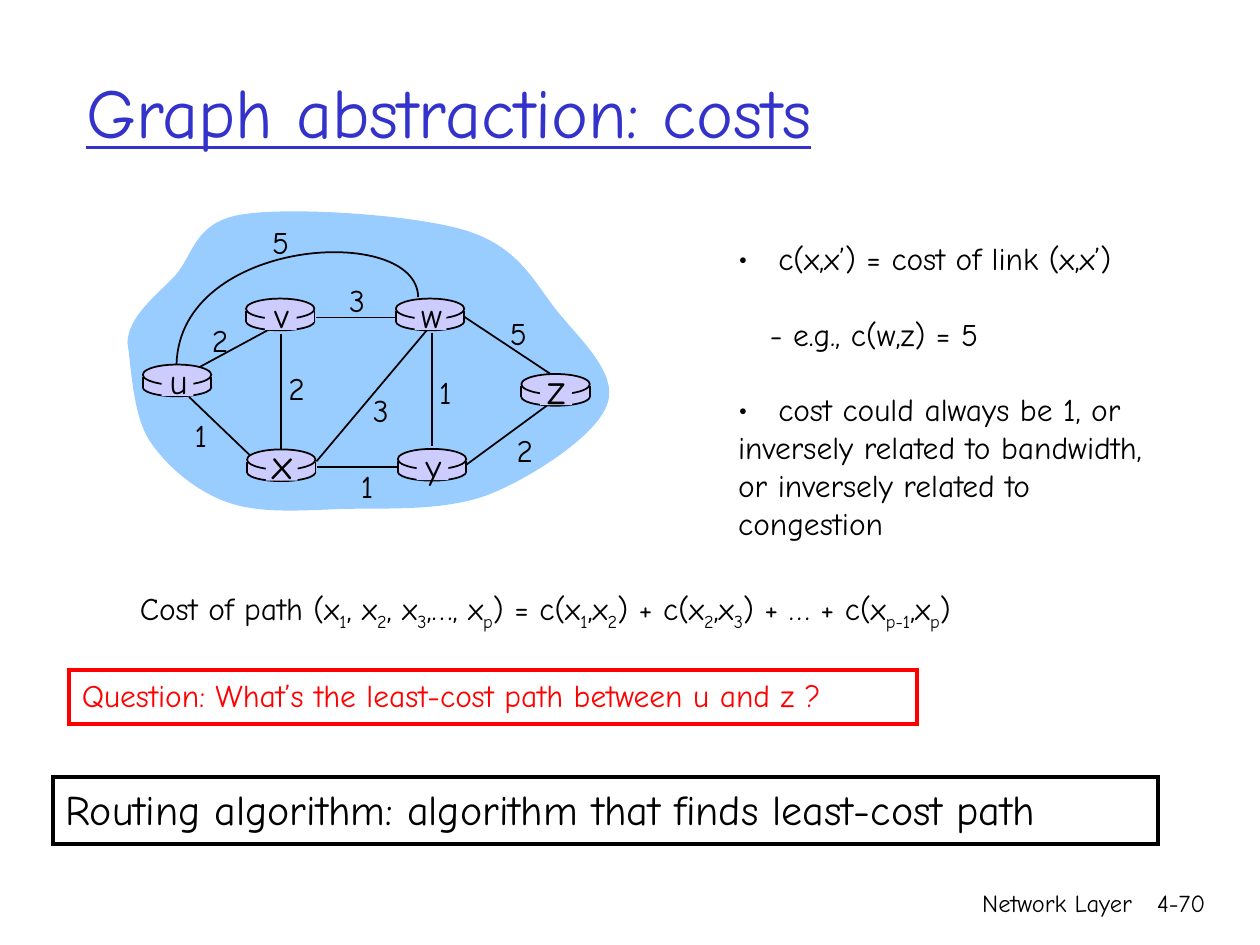
from lxml import etree
from pptx import Presentation
from pptx.dml.color import RGBColor
from pptx.enum.shapes import MSO_CONNECTOR, MSO_SHAPE
from pptx.enum.text import MSO_ANCHOR, PP_ALIGN
from pptx.oxml.ns import qn
from pptx.util import Cm, Pt

LEFT, CENTER, RIGHT = PP_ALIGN.LEFT, PP_ALIGN.CENTER, PP_ALIGN.RIGHT
MIDDLE = MSO_ANCHOR.MIDDLE
STRAIGHT = MSO_CONNECTOR.STRAIGHT
OVAL, RECTANGLE = MSO_SHAPE.OVAL, MSO_SHAPE.RECTANGLE

BLACK = RGBColor(0x00, 0x00, 0x00)
RED = RGBColor(0xFF, 0x00, 0x00)
TITLE_BLUE = RGBColor(0x33, 0x33, 0xCC)
CLOUD_BLUE = RGBColor(0x99, 0xCC, 0xFF)
ROUTER_LILAC = RGBColor(0xCC, 0xCC, 0xFF)
FONT = "Comic Neue"

deck = Presentation()
deck.slide_width, deck.slide_height = Cm(25.4), Cm(19.05)
page = deck.slides.add_slide(deck.slide_layouts[6])
shapes = page.shapes


def add_text(left, top, width, height, text, size, color=BLACK, align=LEFT):
    """Add a text box; newlines part paragraphs, and bars enclose subscripts."""
    box = shapes.add_textbox(Cm(left), Cm(top), Cm(width), Cm(height))
    frame = box.text_frame
    frame.word_wrap = False
    for number, line in enumerate(text.split("\n")):
        para = frame.add_paragraph() if number else frame.paragraphs[0]
        para.alignment = align
        para.font.name, para.font.size = FONT, Pt(size)
        para.font.color.rgb = color
        for position, piece in enumerate(line.split("|")):
            span = para.add_run()
            span.text = piece
            if position % 2:
                span._r.get_or_add_rPr().set("baseline", "-25000")
    return box


def add_line(start, end):
    line = shapes.add_connector(STRAIGHT, *map(Cm, start + end))
    line.line.color.rgb = BLACK
    line.line.width = Pt(1)
    etree.SubElement(line._element.spPr, qn("a:effectLst"))


# Footer and title
add_text(15.02, 17.78, 8.05, 1.27, "Network Layer", 14, align=RIGHT)
add_text(22.67, 17.78, 1.88, 1.27, "4-70", 14, align=RIGHT)
title = add_text(1.49, 0.64, 21.59, 3.18, "Graph abstraction: costs", 40, TITLE_BLUE)
title.text_frame.vertical_anchor = MIDDLE
title.text_frame.paragraphs[0].font.underline = True

# Cloud and the curved link u-w: a start point, then cubic Bézier segments
cloud = [
    (2.57, 6.91),
    (2.59, 6.38), (3.12, 5.99), (3.53, 5.56),
    (3.91, 5.13), (3.91, 4.47), (4.90, 4.32),
    (5.87, 4.17), (8.33, 4.32), (9.40, 4.65),
    (10.46, 4.98), (10.77, 5.69), (11.23, 6.27),
    (11.71, 6.86), (12.47, 7.54), (12.24, 8.15),
    (12.04, 8.76), (10.77, 9.60), (9.88, 9.96),
    (8.99, 10.31), (7.82, 10.24), (6.93, 10.26),
    (6.07, 10.29), (5.26, 10.36), (4.60, 10.13),
    (3.96, 9.91), (3.35, 9.40), (3.00, 8.86),
    (2.67, 8.33), (2.64, 7.32), (2.57, 6.91),
]
arc = [(8.43, 5.99), (8.41, 4.50), (3.63, 4.78), (3.56, 7.34)]
for controls, closed in ((cloud, True), (arc, False)):
    start, *others = [(Cm(x), Cm(y)) for x, y in controls]
    builder = shapes.build_freeform(*start)
    builder.add_line_segments(others, close=closed)
    curve = builder.convert_to_shape()
    # Turn each three line segments into one Bézier segment
    segments = list(curve._element.iter(qn("a:lnTo")))
    for first in range(0, len(segments), 3):
        bezier = etree.Element(qn("a:cubicBezTo"))
        segments[first].addprevious(bezier)
        for segment in segments[first:first + 3]:
            bezier.append(segment[0])
            segment.getparent().remove(segment)
    curve.shadow.inherit = False
    if closed:
        curve.fill.solid()
        curve.fill.fore_color.rgb = CLOUD_BLUE
        curve.line.fill.background()
    else:
        curve.fill.background()
        curve.line.color.rgb = BLACK
        curve.line.width = Pt(1)

# Straight links: start, end, cost, centre and top of the cost label
links = [
    ((4.04, 7.39), (5.54, 6.58), "2", 4.44, 6.35),
    ((5.66, 6.73), (5.66, 9.09), "2", 5.98, 7.32),
    ((5.03, 9.17), (3.81, 8.00), "1", 4.05, 8.26),
    ((6.38, 9.30), (8.61, 6.65), "3", 7.68, 7.75),
    ((8.03, 9.42), (6.40, 9.42), "1", 7.40, 9.30),
    ((8.71, 6.71), (8.71, 9.00), "1", 8.98, 7.39),
    ((9.40, 9.37), (11.02, 8.18), "2", 10.58, 8.56),
    ((11.10, 7.54), (9.35, 6.38), "5", 10.45, 6.20),
    ((8.00, 6.40), (6.38, 6.40), "3", 7.20, 5.54),
]
for start, end, cost, center, top in links:
    add_line(start, end)
    add_text(center - 0.45, top, 0.9, 1.02, cost, 18, align=CENTER)
add_text(5.21, 4.37, 0.9, 1.02, "5", 18, align=CENTER)

# Routers: name, left, top, letter size
routers = [
    ("u", 2.88, 7.35, 20), ("x", 4.98, 9.06, 24), ("v", 4.96, 6.02, 20),
    ("w", 7.98, 6.02, 20), ("y", 8.02, 9.05, 20), ("z", 10.51, 7.54, 24),
]
# Parts of a router: shape, offset right, offset down, width, height, outlined
router_parts = [
    (OVAL, 0, 0.28, 1.38, 0.36, True),
    (RECTANGLE, 0, 0.25, 1.38, 0.22, False),
    (OVAL, 0, 0, 1.38, 0.41, True),
    (RECTANGLE, 0.38, 0.05, 0.64, 0.58, False),
]
for name, left, top, size in routers:
    for kind, right, down, width, height, outlined in router_parts:
        part = shapes.add_shape(kind, Cm(left + right), Cm(top + down), Cm(width), Cm(height))
        part.shadow.inherit = False
        part.fill.solid()
        part.fill.fore_color.rgb = ROUTER_LILAC
        if outlined:
            part.line.color.rgb = BLACK
            part.line.width = Pt(1)
        else:
            part.line.fill.background()
    for side in (left, left + 1.38):
        add_line((side, top + 0.25), (side, top + 0.47))
    rise = 0.22 if size == 20 else 0.36
    add_text(left + 0.22, top - rise, 1, size * 0.054, name, size, align=CENTER)

# Notes on link costs
notes = add_text(
    14.63, 4.7, 9.75, 6.35,
    "c(x,x’) = cost of link (x,x’)\n- e.g., c(w,z) = 5\n"
    "cost could always be 1, or\ninversely related to bandwidth,\n"
    "or inversely related to\ncongestion", 18)
note_paras = notes.text_frame.paragraphs
for para in (note_paras[0], note_paras[2]):
    properties = para._p.get_or_add_pPr()
    properties.set("marL", str(Cm(0.81)))
    properties.set("indent", str(-Cm(0.81)))
    properties.insert(0, etree.Element(qn("a:buFont"), typeface=FONT))
    properties.insert(1, etree.Element(qn("a:buChar"), char="•"))
note_paras[1]._p.get_or_add_pPr().set("marL", str(Cm(0.64)))
for para in note_paras[1:3]:
    para.space_before = Pt(21.5)

# Path cost and the two framed statements
add_text(2.57, 11.75, 19.51, 1.02,
         "Cost of path (x|1|, x|2|, x|3|,…, x|p|) = c(x|1|,x|2|) + "
         "c(x|2|,x|3|) + … + c(x|p-1|,x|p|)", 18)
question = add_text(1.4, 13.51, 17.09, 1.09,
                    "Question: What’s the least-cost path between u and z ?", 18, RED)
routing = add_text(1.07, 15.67, 22.28, 1.35,
                   "Routing algorithm: algorithm that finds least-cost path", 24)
for box, color in ((question, RED), (routing, BLACK)):
    box.line.color.rgb = color
    box.line.width = Pt(2.25)
    etree.SubElement(box.line._get_or_add_ln(), qn("a:miter"), lim="800000")

deck.save("out.pptx")
